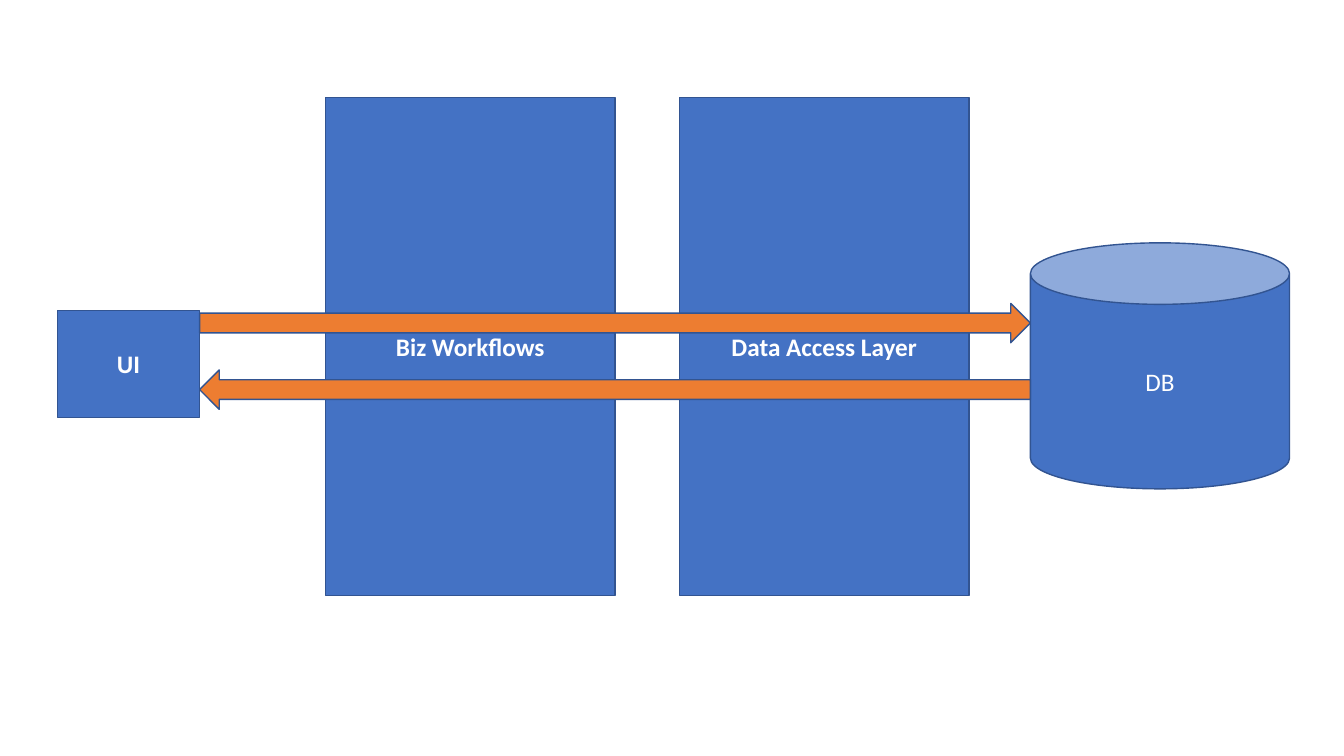
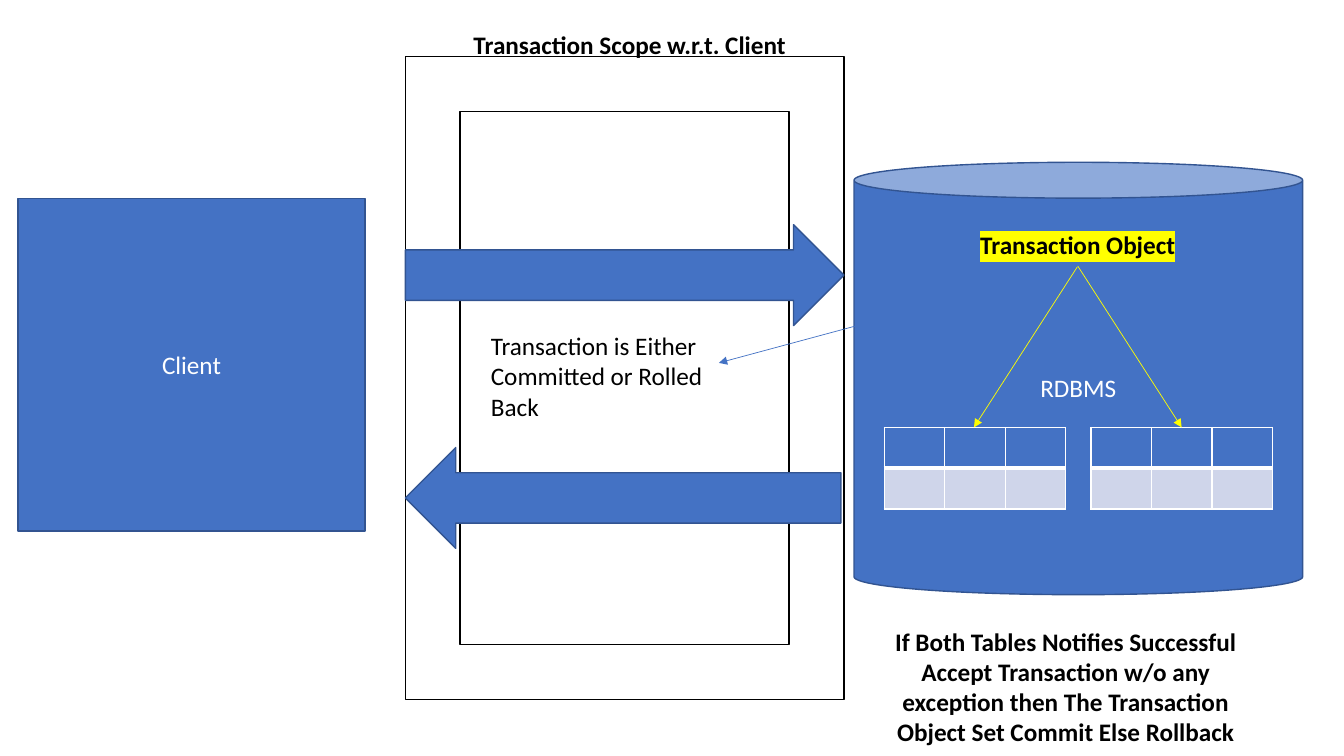
from lxml.etree import SubElement
from pptx import Presentation
from pptx.dml.color import RGBColor
from pptx.enum.shapes import MSO_CONNECTOR, MSO_SHAPE
from pptx.enum.text import MSO_ANCHOR, MSO_AUTO_SIZE, PP_ALIGN
from pptx.oxml import parse_xml
from pptx.oxml.ns import nsdecls, qn
from pptx.util import Inches, Pt

BLUE = RGBColor(0x44, 0x72, 0xC4)
DARK_BLUE = RGBColor(0x32, 0x54, 0x91)
PALE_BLUE = RGBColor(0xCF, 0xD5, 0xEA)
ORANGE = RGBColor(0xED, 0x7D, 0x31)
YELLOW = RGBColor(0xFF, 0xFF, 0x00)
WHITE = RGBColor(0xFF, 0xFF, 0xFF)
BLACK = RGBColor(0x00, 0x00, 0x00)

FONT_FORMAT = {"name": "Calibri", "size": Pt(18)}
TABLE_ROWS = [
    (BLUE, {"lnL": 1, "lnR": 1, "lnT": 1, "lnB": 3}),
    (PALE_BLUE, {"lnL": 1, "lnR": 1, "lnT": 3, "lnB": 1}),
]


def write_text(text_frame, text, color, bold=False, align=PP_ALIGN.CENTER):
    text_frame.word_wrap = True
    paragraph = text_frame.paragraphs[0]
    paragraph.alignment = align
    run = paragraph.add_run()
    run.text = text
    for attribute, value in {**FONT_FORMAT, "bold": bold}.items():
        setattr(run.font, attribute, value)
    run.font.color.rgb = color
    return run


def add_block(slide, kind, box, text="", bold=False, fill=BLUE, line=DARK_BLUE):
    shape = slide.shapes.add_shape(kind, *map(Inches, box))
    shape.shadow.inherit = False
    shape.fill.solid()
    shape.fill.fore_color.rgb = fill
    shape.line.color.rgb = line
    shape.line.width = Pt(1)
    if text:
        shape.text_frame.vertical_anchor = MSO_ANCHOR.MIDDLE
        write_text(shape.text_frame, text, WHITE, bold)
    return shape


def add_label(slide, box, text, bold=True, align=PP_ALIGN.CENTER):
    shape = slide.shapes.add_textbox(*map(Inches, box))
    run = write_text(shape.text_frame, text, BLACK, bold, align)
    shape.text_frame.auto_size = MSO_AUTO_SIZE.SHAPE_TO_FIT_TEXT
    return run


def highlight(run, color):
    solid_fill = run.font._element.find(qn("a:solidFill"))
    solid_fill.addnext(parse_xml(
        f'<a:highlight {nsdecls("a")}><a:srgbClr val="{color}"/></a:highlight>'))


def add_arrow_line(slide, start, end, color):
    connector = slide.shapes.add_connector(
        MSO_CONNECTOR.STRAIGHT, *map(Inches, start + end))
    connector.line.color.rgb = color
    connector.line.width = Pt(0.5)
    line = connector.line._get_or_add_ln()
    SubElement(line, qn("a:tailEnd"), type="triangle")
    SubElement(connector._element.spPr, qn("a:effectLst"))


def set_borders(cell, widths):
    properties = cell._tc.get_or_add_tcPr()
    for index, (side, width) in enumerate(widths.items()):
        properties.insert(index, parse_xml(
            f'<a:{side} {nsdecls("a")} w="{Pt(width)}"><a:solidFill>'
            f'<a:srgbClr val="{WHITE}"/></a:solidFill></a:{side}>'))


def add_data_table(slide, left, top):
    frame = slide.shapes.add_table(
        2, 3, Inches(left), Inches(top), Inches(1.8), Inches(0.81))
    for row, (fill, widths) in zip(frame.table.rows, TABLE_ROWS):
        for cell in row.cells:
            cell.fill.solid()
            cell.fill.fore_color.rgb = fill
            set_borders(cell, widths)


def add_slide(presentation):
    return presentation.slides.add_slide(presentation.slide_layouts[6])


def build_layers_slide(presentation):
    slide = add_slide(presentation)
    add_block(slide, MSO_SHAPE.CAN, (10.22, 2.41, 2.57, 2.44), "DB")
    for left, text in [(6.74, "Data Access Layer"), (3.23, "Biz Workflows")]:
        add_block(slide, MSO_SHAPE.RECTANGLE, (left, 0.97, 2.87, 4.94), text, True)
    add_block(slide, MSO_SHAPE.RECTANGLE, (0.57, 3.08, 1.41, 1.06), "UI", True)
    for kind, top in [(MSO_SHAPE.RIGHT_ARROW, 3.01), (MSO_SHAPE.LEFT_ARROW, 3.67)]:
        add_block(slide, kind, (1.98, top, 8.24, 0.39), fill=ORANGE)


def build_transaction_slide(presentation):
    slide = add_slide(presentation)
    database = add_block(slide, MSO_SHAPE.CAN, (8.47, 1.61, 4.45, 4.29), "RDBMS")
    database.adjustments[0] = 0.083
    add_block(slide, MSO_SHAPE.RECTANGLE, (0.18, 1.97, 3.44, 3.3), "Client")
    add_block(slide, MSO_SHAPE.FRAME, (4.02, 0.56, 4.35, 6.38), fill=WHITE, line=BLACK)
    add_block(slide, MSO_SHAPE.RIGHT_ARROW, (4.02, 2.23, 4.35, 1))
    add_label(slide, (4.02, 0.24, 4.45, 0.4), "Transaction Scope w.r.t. Client")

    transaction = add_label(slide, (9.19, 2.23, 3, 0.4), "Transaction Object")
    highlight(transaction, YELLOW)
    origin = (10.69, 2.64)
    table_top = 4.24
    for table_left, target in [(8.77, 9.66), (10.82, 11.72)]:
        add_data_table(slide, table_left, table_top)
        add_arrow_line(slide, origin, (target, table_top), YELLOW)

    add_label(slide, (8.77, 6.16, 3.6, 1.31),
              "If Both Tables Notifies Successful Accept Transaction w/o any "
              "exception then The Transaction Object Set Commit Else Rollback")
    add_block(slide, MSO_SHAPE.LEFT_ARROW, (4.02, 4.44, 4.32, 1))
    add_arrow_line(slide, origin, (7.13, 3.6), BLUE)
    add_label(slide, (4.77, 3.23, 2.37, 1.01),
              "Transaction is Either Committed or Rolled Back",
              bold=False, align=PP_ALIGN.LEFT)


def main():
    presentation = Presentation()
    presentation.slide_width = Inches(13.33)
    presentation.slide_height = Inches(7.5)
    build_layers_slide(presentation)
    build_transaction_slide(presentation)
    presentation.save("out.pptx")


if __name__ == "__main__":
    main()
